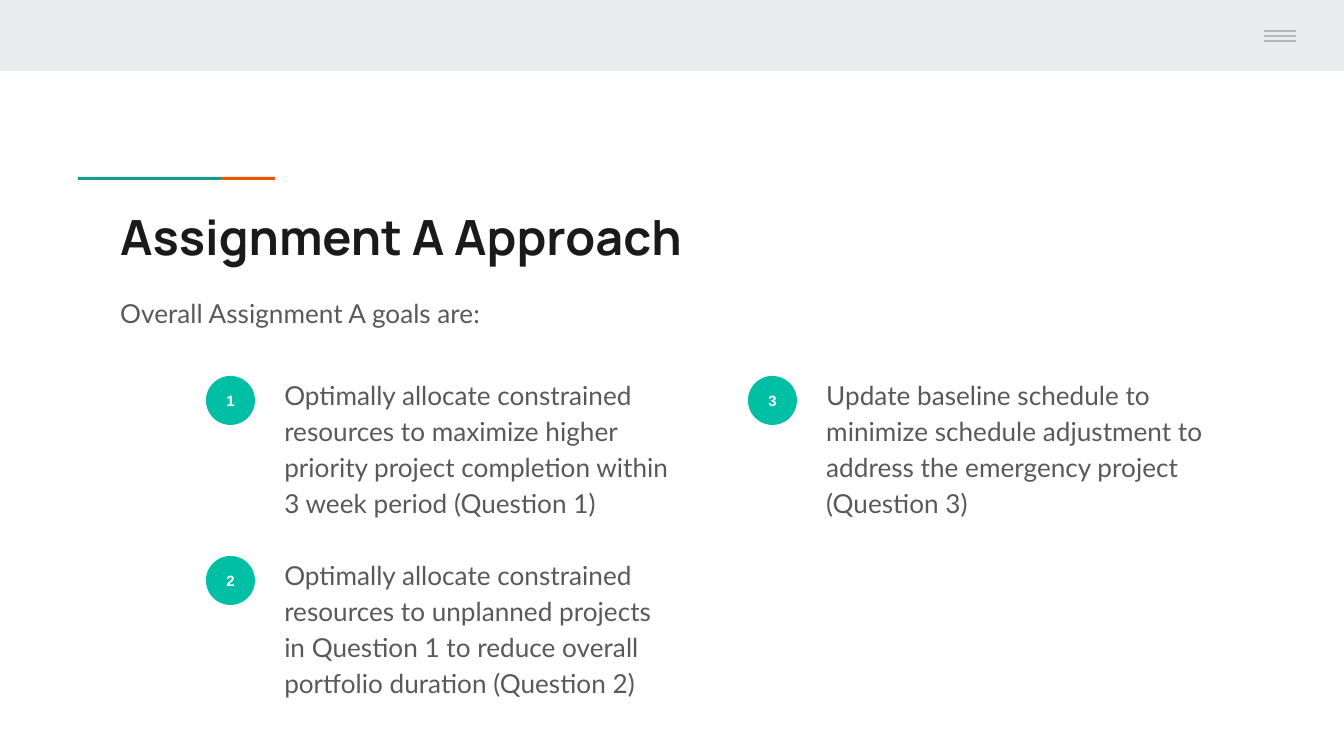
from lxml.etree import SubElement
from pptx import Presentation
from pptx.dml.color import RGBColor
from pptx.enum.shapes import MSO_CONNECTOR, MSO_SHAPE
from pptx.enum.text import MSO_ANCHOR, PP_ALIGN
from pptx.oxml.ns import qn
from pptx.util import Pt

SCALE = 914400 * 10 / 1344  # EMU per px
COLORS = {
    "band": "E9EDEE", "teal": "1A9988", "orange": "EB5600", "menu": "B7B7B7",
    "title": "1A1A1A", "body": "595959", "badge": "00BFA5", "white": "FFFFFF",
}


def add_filled(kind, bounds, color):
    shape = page.shapes.add_shape(kind, *[round(n * SCALE) for n in bounds])
    shape.shadow.inherit = False
    shape.fill.solid()
    shape.fill.fore_color.rgb = RGBColor.from_string(COLORS[color])
    shape.line.fill.background()
    return shape


def set_text(shape, text, font, size, color, bold=False, spacing=1.0):
    frame = shape.text_frame
    frame.word_wrap = True
    frame.margin_left = frame.margin_right = round(13.44 * SCALE)
    frame.margin_top = frame.margin_bottom = round(13.44 * SCALE)
    frame.text = text
    paragraph = frame.paragraphs[0]
    paragraph.line_spacing = spacing
    span = paragraph.runs[0]
    span.font.name = font
    span.font.size = Pt(size)
    span.font.bold = bold
    span.font.color.rgb = RGBColor.from_string(COLORS[color])


deck = Presentation()
deck.slide_width = round(1344 * SCALE)
deck.slide_height = round(756 * SCALE)
page = deck.slides.add_slide(deck.slide_layouts[6])

# Top band and two-colour accent
add_filled(MSO_SHAPE.RECTANGLE, (0, 0, 1344, 71), "band")
add_filled(MSO_SHAPE.RECTANGLE, (78, 177, 143, 3), "teal")
add_filled(MSO_SHAPE.RECTANGLE, (221, 177, 54, 3), "orange")

# Menu icon
for row in range(3):
    y = round((31 + 5 * row) * SCALE)
    bar = page.shapes.add_connector(
        MSO_CONNECTOR.STRAIGHT, round(1264 * SCALE), y, round(1296 * SCALE), y)
    bar.line.color.rgb = RGBColor.from_string(COLORS["menu"])
    bar.line.width = Pt(0.75)
    SubElement(bar._element.spPr, qn("a:effectLst"))

# Title and introduction
title = page.shapes.add_textbox(*[round(n * SCALE) for n in (107, 194, 1130, 79)])
set_text(title, "Assignment A Approach", "Manrope", 26, "title", bold=True)
intro = page.shapes.add_textbox(*[round(n * SCALE) for n in (107, 279, 1031, 108)])
set_text(intro, "Overall Assignment A goals are:", "Lato", 14, "body", spacing=1.15)

# Numbered goals, filled down each column of two
goals = [
    "Optimally allocate constrained resources to maximize higher priority project "
    "completion within 3 week period (Question 1)",
    "Optimally allocate constrained resources to unplanned projects in Question 1 "
    "to reduce overall portfolio duration (Question 2)",
    "Update baseline schedule to minimize schedule adjustment to address the "
    "emergency project (Question 3)",
]
for index, goal in enumerate(goals):
    column, row = divmod(index, 2)
    x = 206 + 542 * column
    y = 376 + 180 * row
    badge = add_filled(MSO_SHAPE.OVAL, (x, y, 49, 49), "badge")
    set_text(badge, str(index + 1), "Arial", 8, "white", bold=True)
    badge.text_frame.vertical_anchor = MSO_ANCHOR.MIDDLE
    badge.text_frame.paragraphs[0].alignment = PP_ALIGN.CENTER
    box = page.shapes.add_textbox(*[round(n * SCALE) for n in (x + 65, y - 15, 417, 155)])
    set_text(box, goal, "Lato", 14, "body", spacing=1.15)

deck.save("out.pptx")
